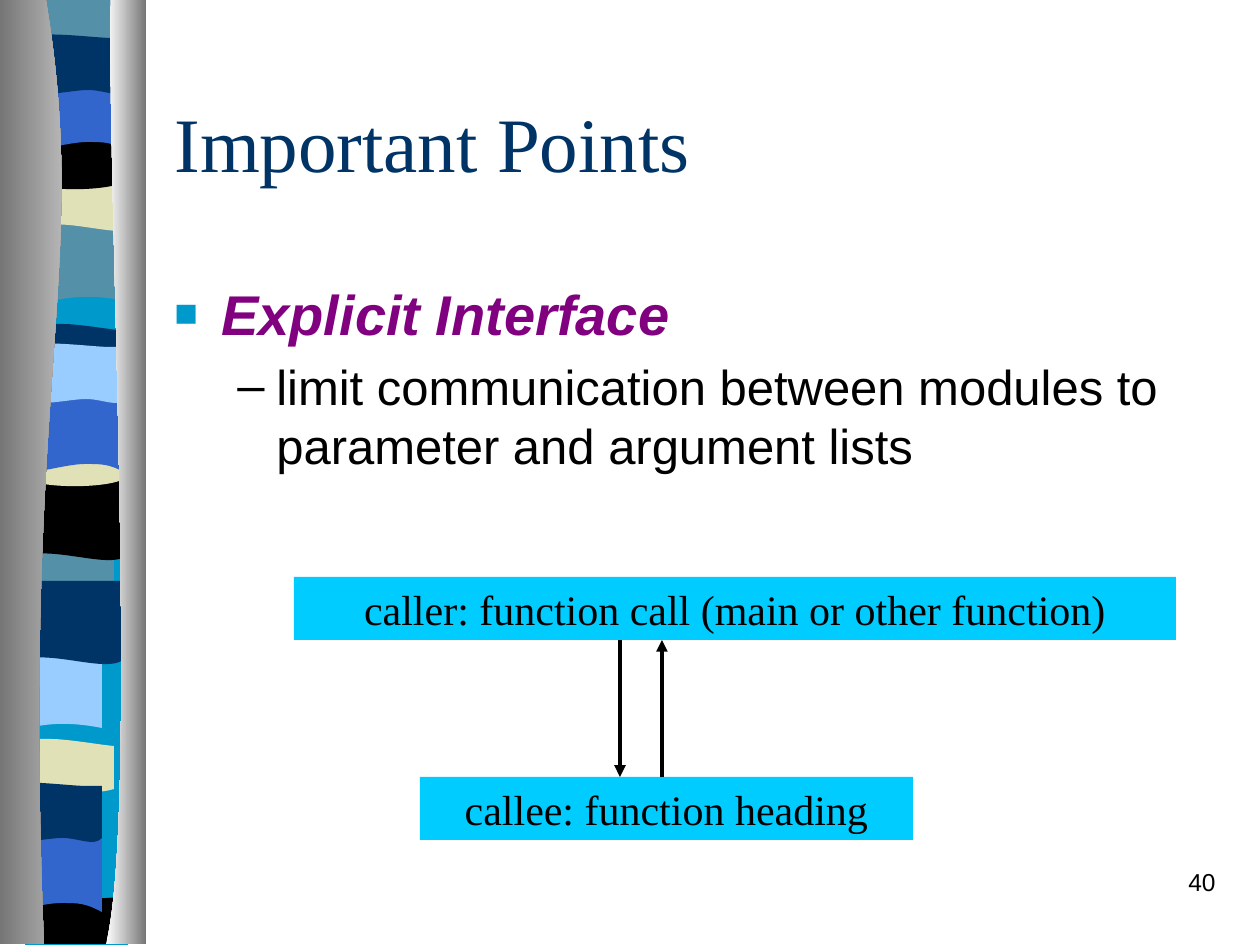
from dataclasses import dataclass

from lxml import etree
from pptx import Presentation
from pptx import util as u
from pptx.dml.color import RGBColor
from pptx.enum import shapes, text
from pptx.oxml.ns import qn

PIXEL = u.Inches(1) // 126

BLACK = RGBColor(0x00, 0x00, 0x00)
WHITE = RGBColor(0xFF, 0xFF, 0xFF)
GREY = RGBColor(0x76, 0x76, 0x76)
SILVER = RGBColor(0xD3, 0xD3, 0xD3)
NAVY = RGBColor(0x00, 0x33, 0x66)
BLUE = RGBColor(0x33, 0x66, 0xCC)
SKY = RGBColor(0x99, 0xCC, 0xFF)
SLATE = RGBColor(0x54, 0x90, 0xA8)
CREAM = RGBColor(0xE1, 0xE1, 0xB7)
TEAL = RGBColor(0x00, 0x99, 0xCC)
CYAN = RGBColor(0x00, 0xCC, 0xFF)
PURPLE = RGBColor(0x80, 0x00, 0x80)

SERIF, SANS = "Times New Roman", "Arial"

# An outline is a list of segments: (x, y) is a straight line,
# (x1, y1, x2, y2, x, y) is a Bezier curve with two control points.
Outline = list[tuple[int, ...]]

SLAB: Outline = [(103, 0), (103, 79), (32, 65, 18, 92, 0, 79), (0, 0)]
SWELL: Outline = [(103, 0), (103, 79), (86, 92, 32, 69, 0, 79), (0, 0)]
LENS: Outline = [(103, 8), (103, 51), (86, 57, 17, 57, 0, 51), (0, 8),
                 (7, 0, 23, 1, 40, 1), (57, 1, 90, 7, 103, 8)]
BOWL: Outline = [(103, 0), (103, 53), (86, 64, 18, 64, 0, 53), (0, 0),
                 (63, 8, 81, 0, 103, 0)]
FOOT: Outline = [(137, 0), (137, 47), (0, 47), (0, 0), (84, 6, 108, 0, 137, 0)]
ARCH: Outline = [(103, 0), (103, 80), (86, 71, 80, 71, 62, 71),
                 (45, 71, 15, 80, 0, 80), (0, 0)]
RIPPLE: Outline = [(103, 8), (103, 60), (95, 69, 80, 60, 63, 60),
                   (47, 60, 11, 69, 0, 60), (0, 8), (14, 0, 70, 8, 87, 8),
                   (104, 8, 99, 8, 103, 8)]
BACKING: Outline = [(103, 0), (103, 945), (0, 945), (0, 0)]
LEFT_COLUMN: Outline = [(46, 0), (91, 272, 21, 373, 44, 944), (0, 944), (0, 0)]
RIGHT_COLUMN: Outline = [(111, 0), (106, 157, 140, 814, 106, 944),
                         (146, 944), (146, 0)]


@dataclass
class Band:
    """A coloured band of the ribbon, placed by its top left corner."""
    outline: Outline
    left: int
    top: int
    color: RGBColor


@dataclass
class Box:
    """A labelled box of the call diagram."""
    label: str
    left: int
    top: int
    width: int


@dataclass
class Arrow:
    """A vertical arrow of the call diagram."""
    x: int
    start: int
    end: int


BANDS = [
    Band(BACKING, 25, 0, TEAL),
    Band(SLAB, 23, 222, SLATE), Band(SWELL, 36, 148, CREAM),
    Band(LENS, 36, -6, SLATE), Band(BOWL, 23, 128, BLACK),
    Band(ARCH, 25, 71, BLUE), Band(RIPPLE, 25, 30, NAVY),
    Band(SLAB, 11, 507, SLATE), Band(SWELL, 23, 477, BLACK),
    Band(LENS, 23, 323, NAVY), Band(BOWL, 23, 425, CREAM),
    Band(ARCH, 23, 393, BLUE), Band(RIPPLE, 23, 339, SKY),
    Band(SLAB, -1, 649, SKY), Band(SWELL, 20, 581, NAVY),
    Band(LENS, 11, 738, CREAM), Band(FOOT, -6, 897, BLACK),
    Band(ARCH, -1, 832, BLUE), Band(RIPPLE, -1, 778, NAVY),
]
BOX_HEIGHT = 63
CALLER = Box("caller: function call (main or other function)", 294, 577, 882)
CALLEE = Box("callee: function heading", 420, 777, 493)
ARROWS = [Arrow(620, CALLER.top + BOX_HEIGHT, CALLEE.top),
          Arrow(662, CALLEE.top, CALLER.top + BOX_HEIGHT)]


def bend(shape, outline: Outline) -> None:
    """Join the three lines that stand for each curve into a Bezier curve."""
    lines = iter(list(shape._element.iter(qn("a:lnTo"))))
    for segment in outline[1:]:
        group = [next(lines) for _ in range(len(segment) // 2)]
        if len(group) == 3:
            curve = etree.Element(qn("a:cubicBezTo"))
            group[0].addprevious(curve)
            for line in group:
                curve.append(line[0])
                line.getparent().remove(line)


def add_outline(slide, band: Band):
    """Draw a closed outline in one colour and return it."""
    points = [(segment[i] + band.left, segment[i + 1] + band.top)
              for segment in band.outline for i in range(0, len(segment), 2)]
    builder = slide.shapes.build_freeform(*points[0], scale=PIXEL)
    builder.add_line_segments(points[1:], close=True)
    shape = builder.convert_to_shape()
    bend(shape, band.outline)
    shape.shadow.inherit = False
    shape.fill.solid()
    shape.fill.fore_color.rgb = band.color
    shape.line.fill.background()
    return shape


def add_column(slide, outline: Outline, first: RGBColor, last: RGBColor) -> None:
    """Draw a column shaded from left to right."""
    shape = add_outline(slide, Band(outline, 0, 0, first))
    shape.fill.gradient()
    shape.fill.gradient_angle = 0
    for stop, color in zip(shape.fill.gradient_stops, (first, last)):
        stop.color.rgb = color


def write(paragraph, content: str, *, font: str, size: int,
          color: RGBColor = BLACK, bold: bool = False, italic: bool = False,
          align=text.PP_ALIGN.LEFT, before: float = 0) -> None:
    """Write one formatted run into a paragraph."""
    run = paragraph.add_run()
    run.text = content
    run.font.name, run.font.size = font, u.Pt(size)
    run.font.bold, run.font.italic = bold, italic
    run.font.color.rgb = color
    paragraph.alignment = align
    paragraph.space_before = u.Pt(before)


def add_text_frame(slide, left: int, top: int, width: int, height: int,
                   anchor=text.MSO_ANCHOR.TOP):
    """Add a wrapping text box and return its text frame."""
    box = slide.shapes.add_textbox(*(n * PIXEL for n in (left, top, width, height)))
    box.text_frame.word_wrap = True
    box.text_frame.vertical_anchor = anchor
    return box.text_frame


def add_bullet(paragraph, character: str, margin: int, indent: int,
               color: RGBColor = BLACK, percent: int = 100) -> None:
    """Give a paragraph a bullet and a hanging indent."""
    properties = paragraph._p.get_or_add_pPr()
    properties.set("marL", str(margin * PIXEL))
    properties.set("indent", str(-indent * PIXEL))
    bullet_color = etree.SubElement(properties, qn("a:buClr"))
    etree.SubElement(bullet_color, qn("a:srgbClr"), val=str(color))
    etree.SubElement(properties, qn("a:buSzPct"), val=str(percent * 1000))
    etree.SubElement(properties, qn("a:buFont"), typeface=SANS)
    etree.SubElement(properties, qn("a:buChar"), char=character)


def add_box(slide, box: Box) -> None:
    """Draw a labelled box."""
    shape = slide.shapes.add_shape(
        shapes.MSO_SHAPE.RECTANGLE,
        *(n * PIXEL for n in (box.left, box.top, box.width, BOX_HEIGHT)))
    shape.shadow.inherit = False
    shape.fill.solid()
    shape.fill.fore_color.rgb = CYAN
    shape.line.fill.background()
    shape.text_frame.word_wrap = True
    shape.text_frame.vertical_anchor = text.MSO_ANCHOR.TOP
    write(shape.text_frame.paragraphs[0], box.label, font=SERIF, size=24,
          align=text.PP_ALIGN.CENTER)


def add_arrow(slide, arrow: Arrow) -> None:
    """Draw a vertical arrow with its head at the end."""
    connector = slide.shapes.add_connector(
        shapes.MSO_CONNECTOR.STRAIGHT,
        *(n * PIXEL for n in (arrow.x, arrow.start, arrow.x, arrow.end)))
    connector.line.color.rgb = BLACK
    connector.line.width = u.Pt(2.25)
    etree.SubElement(connector.line._get_or_add_ln(), qn("a:tailEnd"), type="triangle")
    etree.SubElement(connector._element.spPr, qn("a:effectLst"))


def main() -> None:
    """Build the slide and save it."""
    presentation = Presentation()
    presentation.slide_width, presentation.slide_height = u.Inches(10), u.Inches(7.5)
    slide = presentation.slides.add_slide(presentation.slide_layouts[6])

    for band in BANDS:
        add_outline(slide, band)
    add_column(slide, LEFT_COLUMN, GREY, SILVER)
    add_column(slide, RIGHT_COLUMN, WHITE, GREY)

    number = add_text_frame(slide, 966, 861, 262, 63)
    write(number.paragraphs[0], "40", font=SANS, size=14, align=text.PP_ALIGN.RIGHT)
    title = add_text_frame(slide, 162, 63, 1071, 158, text.MSO_ANCHOR.MIDDLE)
    write(title.paragraphs[0], "Important Points", font=SERIF, size=44, color=NAVY)

    body = add_text_frame(slide, 162, 273, 1071, 231)
    heading, detail = body.paragraphs[0], body.add_paragraph()
    write(heading, "Explicit Interface", font=SANS, size=32, color=PURPLE,
          bold=True, italic=True)
    add_bullet(heading, "■", 47, 47, TEAL, 70)
    write(detail, "limit communication between modules to parameter and argument lists",
          font=SANS, size=28, before=5.6)
    detail.level = 1
    add_bullet(detail, "–", 102, 39)

    for box in (CALLER, CALLEE):
        add_box(slide, box)
    for arrow in ARROWS:
        add_arrow(slide, arrow)
    presentation.save("out.pptx")


main()
